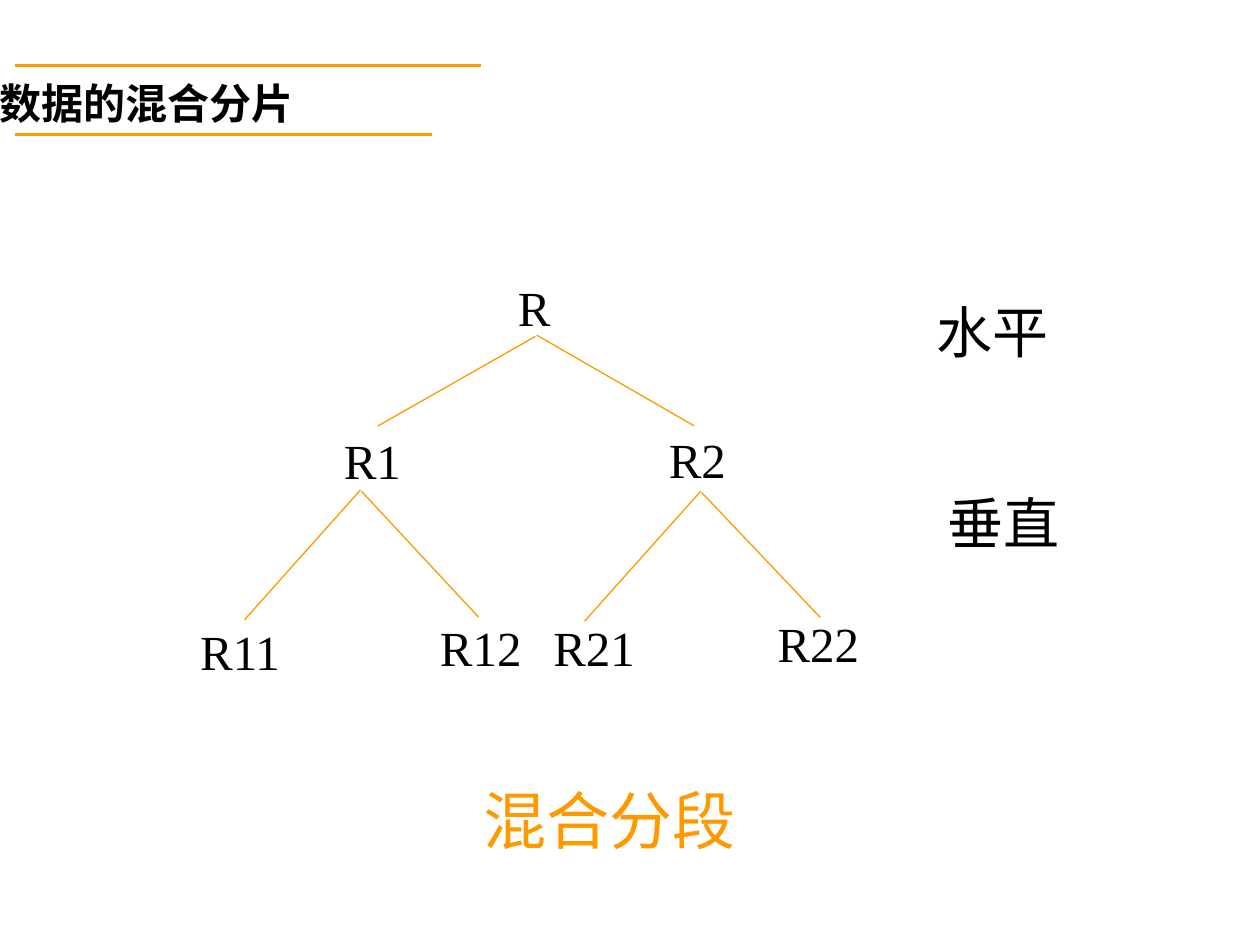
from lxml import etree
from pptx import Presentation
from pptx.dml.color import RGBColor
from pptx.enum import shapes, text
from pptx.oxml.ns import qn
from pptx.util import Inches, Pt

COLORS = {"accent": "FF9900", "ink": "000000", "paper": "FFFFFF"}
LATIN = "Times New Roman"
CHINESE = "Noto Sans CJK SC"


class TreeSlide:
    def __init__(self, slide):
        self.slide = slide
        slide.background.fill.solid()
        slide.background.fill.fore_color.rgb = self.color("paper")

    def color(self, name):
        return RGBColor.from_string(COLORS[name])

    def label(self, content, left, top, width, height, size, color="ink",
              font=LATIN, bold=False, wrap=False,
              align=text.PP_ALIGN.CENTER, anchor=text.MSO_ANCHOR.TOP):
        shape = self.slide.shapes.add_textbox(
            Inches(left), Inches(top), Inches(width), Inches(height))
        frame = shape.text_frame
        frame.word_wrap = wrap
        frame.vertical_anchor = anchor
        paragraph = frame.paragraphs[0]
        paragraph.text = content
        paragraph.alignment = align
        paragraph.font.name = font
        paragraph.font.size = Pt(size)
        paragraph.font.bold = bold
        paragraph.font.color.rgb = self.color(color)
        properties = paragraph.runs[0]._r.get_or_add_rPr()
        etree.SubElement(properties, qn("a:ea")).set("typeface", CHINESE)

    def line(self, start, end, weight=0.75):
        connector = self.slide.shapes.add_connector(
            shapes.MSO_CONNECTOR.STRAIGHT,
            *(Inches(value) for value in (*start, *end)))
        connector.line.color.rgb = self.color("accent")
        connector.line.width = Pt(weight)
        etree.SubElement(connector._element.spPr, qn("a:effectLst"))


def main():
    presentation = Presentation()
    presentation.slide_width = Inches(10)
    presentation.slide_height = Inches(7.5)
    tree = TreeSlide(presentation.slides.add_slide(presentation.slide_layouts[6]))

    tree.label("混合分段", 0.59, 5.88, 8.5, 1.25, 36, color="accent",
               wrap=True, anchor=text.MSO_ANCHOR.MIDDLE)

    node_widths = {1: 0.46, 2: 0.65, 3: 0.85}
    nodes = [("R", 4.01, 2.15), ("R1", 2.63, 3.37), ("R2", 5.21, 3.36),
             ("R11", 1.48, 4.88), ("R12", 3.39, 4.85),
             ("R21", 4.29, 4.85), ("R22", 6.07, 4.82)]
    for name, left, top in nodes:
        tree.label(name, left, top, node_widths[len(name)], 0.57, 28)

    branches = [((4.25, 2.67), (3, 3.38)), ((4.26, 2.66), (5.51, 3.38)),
                ((2.86, 3.89), (1.94, 4.92)), ((2.87, 3.9), (3.8, 4.9)),
                ((5.56, 3.9), (4.64, 4.93)), ((5.57, 3.91), (6.51, 4.9))]
    for start, end in branches:
        tree.line(start, end)

    for direction, left, top in [("水平", 7.33, 2.31), ("垂直", 7.42, 3.83)]:
        tree.label(direction, left, top, 1.09, 0.63, 32)

    tree.label("数据的混合分片", -0.1, 0.57, 5, 0.5, 24, font=CHINESE,
               bold=True, wrap=True, align=text.PP_ALIGN.LEFT)
    for right, top in [(3.43, 1.07), (3.82, 0.52)]:
        tree.line((0.12, top), (right, top), weight=1.5)

    presentation.save("out.pptx")


if __name__ == "__main__":
    main()
